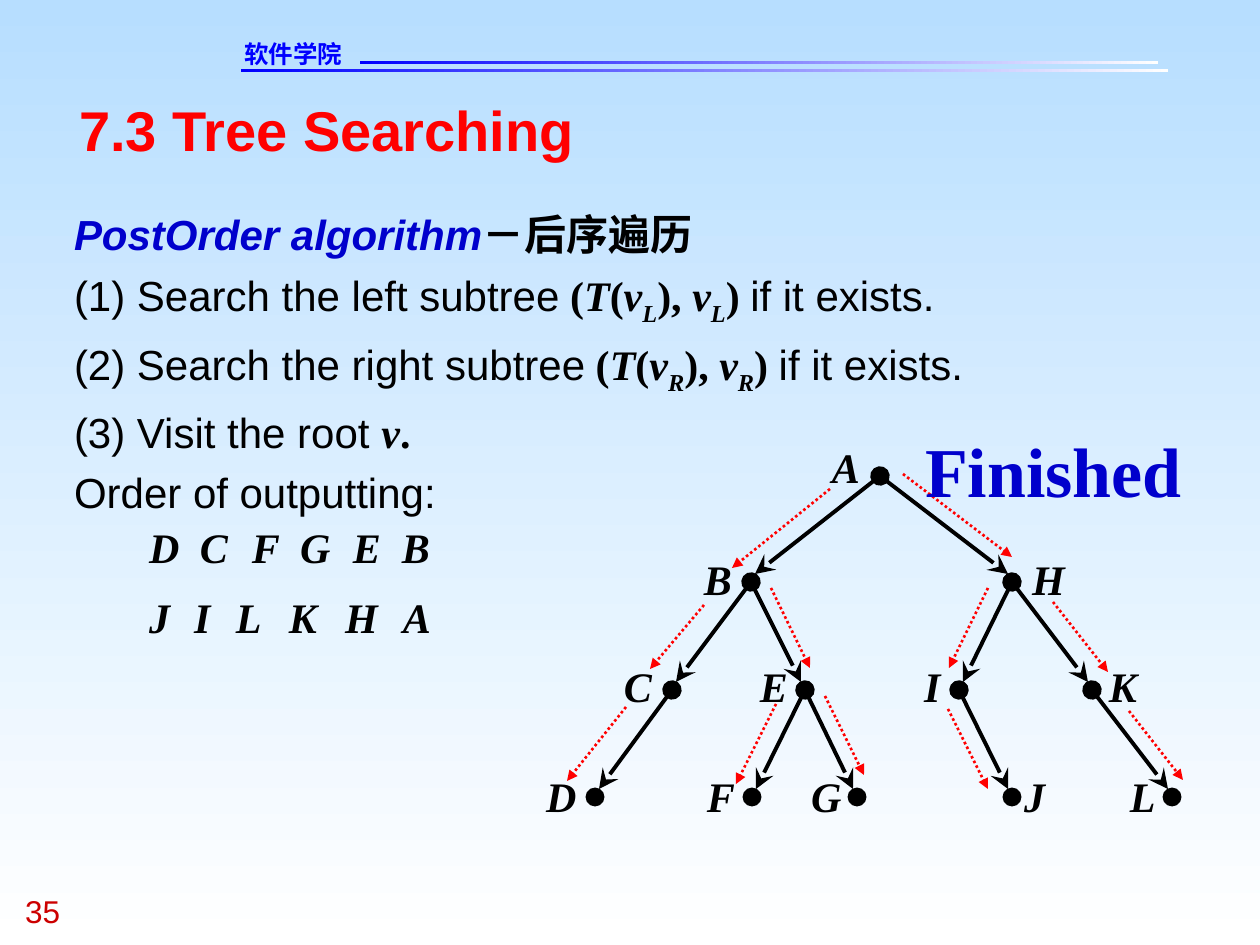
from pptx import Presentation
from pptx.dml.color import RGBColor
from pptx.enum.dml import MSO_LINE
from pptx.enum.shapes import MSO_CONNECTOR, MSO_SHAPE
from pptx.enum.text import MSO_ANCHOR, MSO_AUTO_SIZE, PP_ALIGN
from pptx.oxml.ns import qn
from pptx.util import Pt
from lxml.etree import SubElement

PX = 914400 / 126
SKY = RGBColor(0xB7, 0xDE, 0xFF)
WHITE = RGBColor(255, 255, 255)
BLACK = RGBColor(0, 0, 0)
RED = RGBColor(255, 0, 0)
DARK_RED = RGBColor(0xCC, 0, 0)
BLUE = RGBColor(0, 0, 255)
DARK_BLUE = RGBColor(0, 0, 0xCC)
SANS, SERIF = "Arial", "Times New Roman"

# Run styles: font, size, colour, bold, italic
TITLE = (SANS, 32, RED, True, False)
HEADER = ("DejaVu Sans", 14, BLUE, True, False)
NUMBER = (SANS, 18, DARK_RED, False, False)
HEADING = (SANS, 24, DARK_BLUE, True, True)
PLAIN = (SANS, 24, BLACK, False, False)
STRONG = (SERIF, 24, BLACK, True, False)
LETTER = (SERIF, 24, BLACK, True, True)
FINISHED = (SERIF, 40, DARK_BLUE, True, False)


def search_step(text, side):
    subscript = (side, LETTER, -25000)
    return [(text, PLAIN), (" (", STRONG), ("T", LETTER), ("(", STRONG),
            ("v", LETTER), subscript, ("), ", STRONG), ("v", LETTER),
            subscript, (") ", STRONG), ("if it exists.", PLAIN)]


BODY = [
    [("PostOrder algorithm", HEADING), ("－后序遍历", STRONG)],
    search_step("(1) Search the left subtree", "L"),
    search_step("(2) Search the right subtree", "R"),
    [("(3) Visit the root ", PLAIN), ("v", LETTER), (".", STRONG)],
    [("Order of outputting:", PLAIN)],
]
HEADER_RULES = [(241, 69, 927, 3), (360, 61, 798, 3)]

# Tree levels: node centre y, label top, then node: (centre x, label left)
LEVELS = [
    (476, 442, {"A": (880, 832)}),
    (582, 554, {"B": (751, 704), "H": (1012, 1032)}),
    (690, 661, {"C": (672, 624), "E": (805, 760), "I": (959, 924),
                "K": (1092, 1109)}),
    (797, 771, {"D": (595, 546), "F": (752, 707), "G": (857, 811),
                "J": (1012, 1024), "L": (1172, 1130)}),
]
CHILDREN = {"A": "BH", "B": "CE", "H": "IK", "C": "D", "E": "FG",
            "I": "J", "K": "L"}
LETTER_WIDTH = {"D": 30, "G": 30, "H": 33, "I": 16, "J": 22, "L": 25}
SEARCH_ARROWS = [
    (776, 704, 736, 784), (825, 696, 864, 775), (771, 588, 810, 668),
    (704, 605, 650, 669), (626, 707, 567, 781), (988, 588, 949, 668),
    (948, 709, 988, 789), (1053, 602, 1108, 672), (1129, 711, 1183, 780),
    (903, 474, 1012, 557), (830, 489, 732, 568),
]
OUTPUT = [
    (522, {"D": 149, "C": 200, "F": 252, "G": 300, "E": 353, "B": 402}),
    (592, {"J": 149, "I": 194, "L": 236, "K": 289, "H": 345, "A": 403}),
]


def emu(*lengths):
    return [round(v * PX) for v in lengths]


def add_runs(p, runs):
    for text, (name, size, color, bold, italic), *baseline in runs:
        r = p.add_run()
        r.text = text
        f = r.font
        f.name, f.size, f.bold, f.italic = name, Pt(size), bold, italic
        f.color.rgb = color
        if baseline:
            r._r.get_or_add_rPr().set("baseline", str(baseline[0]))


def format_frame(tf, wrap=True):
    tf.margin_left = tf.margin_right = tf.margin_top = tf.margin_bottom = 0
    tf.word_wrap = wrap
    tf.auto_size = MSO_AUTO_SIZE.NONE
    tf.vertical_anchor = MSO_ANCHOR.TOP


def add_text(shapes, box, text, style, wrap=False):
    tf = shapes.add_textbox(*emu(*box)).text_frame
    format_frame(tf, wrap)
    add_runs(tf.paragraphs[0], [(text, style)])


def add_letter(shapes, x, y, letter):
    add_text(shapes, (x, y, LETTER_WIDTH.get(letter, 28), 50), letter, LETTER)


def place(ph, box):
    ph.left, ph.top, ph.width, ph.height = emu(*box)
    format_frame(ph.text_frame)
    return ph.text_frame


def set_gradient(fill, colors, angle):
    fill.gradient()
    fill.gradient_angle = angle
    for stop, color in zip(fill.gradient_stops, colors):
        stop.color.rgb = color


def add_arrow(shapes, ends, color, width, tail, size="med", head=None, dash=None):
    c = shapes.add_connector(MSO_CONNECTOR.STRAIGHT, *emu(*ends))
    c.line.color.rgb = color
    c.line.width = Pt(width)
    if dash:
        c.line.dash_style = dash
    spPr = c._element.spPr
    ln = spPr.find(qn("a:ln"))
    for tag, kind in (("a:headEnd", head), ("a:tailEnd", tail)):
        if kind:
            SubElement(ln, qn(tag), type=kind, w=size, len=size)
    SubElement(spPr, qn("a:effectLst"))


def add_tree(s):
    shapes = s.shapes.add_group_shape().shapes
    nodes = {n: (x, y) for y, _, row in LEVELS for n, (x, _) in row.items()}
    for parent, children in CHILDREN.items():
        x, y = nodes[parent]
        for child in children:
            cx, cy = nodes[child]
            end_x = cx + (4 if x > cx else -4)
            head = "oval" if child == children[0] else None
            add_arrow(shapes, (x, y, end_x, cy - 8), BLACK, 2.25,
                      "stealth", "lg", head)
    for y, label_y, row in LEVELS:
        for node, (x, label_x) in row.items():
            if node not in CHILDREN:
                leaf = shapes.add_shape(MSO_SHAPE.OVAL, *emu(x - 9, y - 9, 18, 18))
                leaf.shadow.inherit = False
                leaf.fill.solid()
                leaf.fill.fore_color.rgb = BLACK
                leaf.line.color.rgb = BLACK
                leaf.line.width = Pt(0.5)
            add_letter(shapes, label_x, label_y, node)


def main():
    prs = Presentation()
    prs.slide_width, prs.slide_height = emu(1260, 945)
    s = prs.slides.add_slide(prs.slide_layouts[1])
    set_gradient(s.background.fill, (SKY, WHITE), 270)

    for box in HEADER_RULES:
        rule = s.shapes.add_shape(MSO_SHAPE.RECTANGLE, *emu(*box))
        rule.shadow.inherit = False
        rule.line.fill.background()
        set_gradient(rule.fill, (WHITE, BLUE), 180)
    add_text(s.shapes, (244, 39, 183, 29), "软件学院", HEADER, True)
    add_text(s.shapes, (25, 892, 95, 38), "35", NUMBER, True)

    p = place(s.shapes.title, (79, 95, 1103, 67)).paragraphs[0]
    p.alignment = PP_ALIGN.LEFT
    add_runs(p, [("7.3 Tree Searching", TITLE)])

    tf = place(s.placeholders[1], (74, 198, 1128, 319))
    for i, runs in enumerate(BODY):
        p = tf.add_paragraph() if i else tf.paragraphs[0]
        p.line_spacing = 1.2
        p.space_before = Pt(0)
        pPr = p._p.get_or_add_pPr()
        pPr.set("marL", "0")
        pPr.set("indent", "0")
        SubElement(pPr, qn("a:buNone"))
        add_runs(p, runs)

    add_tree(s)
    for ends in SEARCH_ARROWS:
        add_arrow(s.shapes, ends, RED, 1.5, "triangle", dash=MSO_LINE.ROUND_DOT)
    add_text(s.shapes, (925, 428, 257, 84), "Finished", FINISHED)
    for y, row in OUTPUT:
        for letter, x in row.items():
            add_letter(s.shapes, x, y, letter)

    prs.save("out.pptx")


if __name__ == "__main__":
    main()
